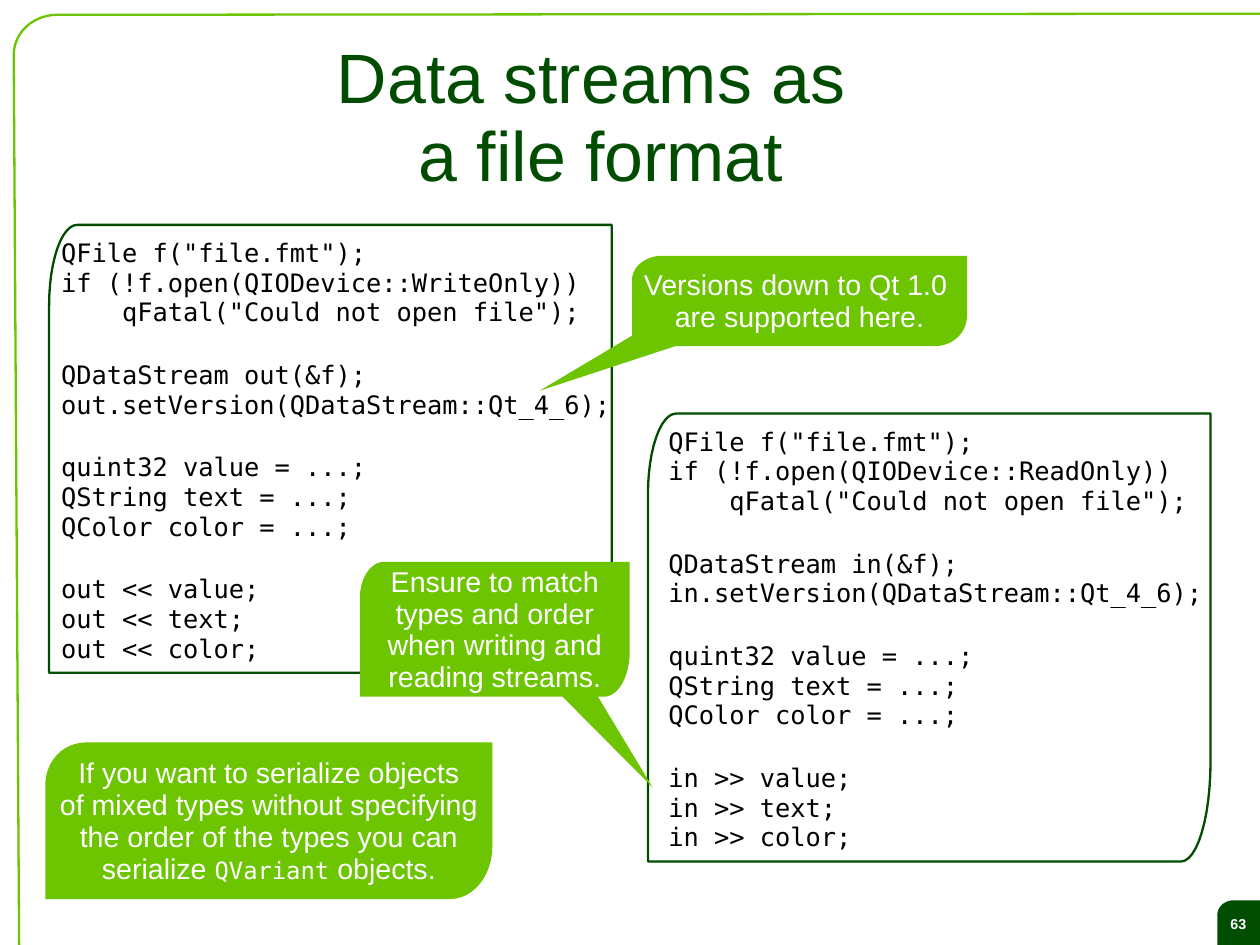
from dataclasses import dataclass
from math import cos, pi, sin

from pptx import Presentation
from pptx.dml.color import RGBColor
from pptx.enum.text import MSO_ANCHOR, MSO_AUTO_SIZE, PP_ALIGN
from pptx.util import Cm, Inches, Pt

MIDDLE, TOP = MSO_ANCHOR.MIDDLE, MSO_ANCHOR.TOP
CENTER, LEFT = PP_ALIGN.CENTER, PP_ALIGN.LEFT
NO_AUTOFIT = MSO_AUTO_SIZE.NONE

SLIDE_WIDTH, SLIDE_HEIGHT = Cm(28), Cm(21)
COLUMN, ROW = SLIDE_WIDTH / 100, SLIDE_HEIGHT / 100
ARC_STEPS = 12

Point = tuple[float, float]


@dataclass(frozen=True)
class Theme:
    dark: RGBColor = RGBColor(0x00, 0x4C, 0x00)
    lime: RGBColor = RGBColor(0x6D, 0xC4, 0x00)
    white: RGBColor = RGBColor(0xFF, 0xFF, 0xFF)
    black: RGBColor = RGBColor(0x00, 0x00, 0x00)
    sans: str = "Arial"
    mono: str = "DejaVu Sans Mono"
    title: Pt = Pt(44)
    callout: Pt = Pt(18)
    code: Pt = Pt(16)
    inline_code: Pt = Pt(15)
    page: Pt = Pt(9)
    rule: Pt = Pt(1.45)
    code_gap: Pt = Pt(21)


@dataclass(frozen=True)
class Box:
    column: float
    row: float
    columns: float
    rows: float

    def emu(self) -> tuple[int, int, int, int]:
        return (round(self.column * COLUMN), round(self.row * ROW),
                round(self.columns * COLUMN), round(self.rows * ROW))


@dataclass(frozen=True)
class Listing:
    frame: Box
    indent: float
    stream: str
    mode: str
    operator: str


@dataclass(frozen=True)
class Callout:
    box: Box
    lines: tuple[str, ...]
    pointer: tuple[Point, ...] = ()


THEME = Theme()
TITLE_BOX = Box(15.22, 3.99, 64.97, 16.69)
BADGE_BOX = Box(96.61, 95.28, 4.08, 5.08)
CALLOUT_CORNER = (0.09, 0.27)
FRAME_CORNER = (0.05, 0.18)
BADGE_CORNER = (0.31, 0.31)
INLINE_CODE = "QVariant"

LISTINGS = (
    Listing(Box(3.9, 23.8, 44.65, 47.4), 0.06, "out", "WriteOnly", "<<"),
    Listing(Box(51.43, 43.77, 44.65, 47.4), 0.73, "in", "ReadOnly", ">>"),
)
CALLOUTS = (
    Callout(Box(50.16, 27.07, 26.59, 9.55),
            ("Versions down to Qt 1.0 ", "are supported here."),
            ((51.81, 34.22), (42.83, 41.35), (53.63, 36.62))),
    Callout(Box(3.6, 78.57, 35.48, 16.57),
            ("If you want to serialize objects",
             "of mixed types without specifying",
             "the order of the types you can",
             "serialize QVariant objects.")),
    Callout(Box(28.56, 59.45, 21.42, 14.27),
            ("Ensure to match", "types and order",
             "when writing and", "reading streams."),
            ((44.63, 73.7), (51.79, 83.31), (46.44, 71.46))),
)


def arc(center: Point, radii: Point, start: float) -> list[Point]:
    angles = [start + pi / 2 * step / ARC_STEPS for step in range(ARC_STEPS + 1)]
    return [(center[0] + radii[0] * cos(a), center[1] + radii[1] * sin(a))
            for a in angles]


def draw_outline(slide, points, fill=None, line=None, close=True):
    corners = [(round(x * COLUMN), round(y * ROW)) for x, y in points]
    builder = slide.shapes.build_freeform(*corners[0])
    builder.add_line_segments(corners[1:], close=close)
    outline = builder.convert_to_shape()
    outline.shadow.inherit = False
    if fill is None:
        outline.fill.background()
    else:
        outline.fill.solid()
        outline.fill.fore_color.rgb = fill
    if line is None:
        outline.line.fill.background()
    else:
        outline.line.color.rgb = line
        outline.line.width = THEME.rule
    return outline


def draw_leaf(slide, box: Box, corner: Point, fill=None, line=None):
    right, bottom = box.column + box.columns, box.row + box.rows
    near = (corner[0] * box.columns, corner[1] * box.rows)
    far = (near[0] * 1.05, near[1] * 1.24)
    points = arc((box.column + near[0], box.row + near[1]), near, pi)
    points += [(right, box.row)]
    points += arc((right - far[0], bottom - far[1]), far, 0)
    points += [(box.column, bottom)]
    return draw_outline(slide, points, fill, line)


def set_frame(frame, anchor, insets, wrap: bool) -> None:
    frame.auto_size = NO_AUTOFIT
    frame.word_wrap = wrap
    frame.vertical_anchor = anchor
    (frame.margin_left, frame.margin_top,
     frame.margin_right, frame.margin_bottom) = map(Inches, insets)


def style(font, name: str, size: Pt, color: RGBColor, bold: bool = False) -> None:
    font.name, font.size, font.bold = name, size, bold
    font.color.rgb = color


def next_paragraph(frame, index: int, align, spacing: float):
    paragraph = frame.add_paragraph() if index else frame.paragraphs[0]
    paragraph.alignment = align
    paragraph.line_spacing = spacing
    return paragraph


def draw_title(slide) -> None:
    title = slide.shapes.title
    title.left, title.top, title.width, title.height = TITLE_BOX.emu()
    set_frame(title.text_frame, MIDDLE, (0, 0.04, 0, 0), True)
    paragraph = next_paragraph(title.text_frame, 0, CENTER, 0.93)
    paragraph.text = "Data streams as \va file format"
    style(paragraph.font, THEME.sans, THEME.title, THEME.dark)


def code_blocks(listing: Listing) -> list[list[str]]:
    stream = listing.stream
    variables = (("quint32", "value"), ("QString", "text"), ("QColor", "color"))
    return [
        ['QFile f("file.fmt");',
         f"if (!f.open(QIODevice::{listing.mode}))",
         '    qFatal("Could not open file");'],
        [f"QDataStream {stream}(&f);",
         f"{stream}.setVersion(QDataStream::Qt_4_6);"],
        [f"{kind} {name} = ...;" for kind, name in variables],
        [f"{stream} {listing.operator} {name};" for _, name in variables],
    ]


def draw_listing(slide, listing: Listing) -> None:
    frame = listing.frame
    code_box = Box(frame.column + listing.indent, frame.row + 0.75, 45.37, 45.83)
    code = slide.shapes.add_textbox(*code_box.emu()).text_frame
    set_frame(code, TOP, (0.1, 0.06, 0, 0.05), True)
    index = 0
    for block in code_blocks(listing):
        for position, line in enumerate(block):
            paragraph = next_paragraph(code, index, LEFT, 0.97)
            if index and position == 0:
                paragraph.space_before = THEME.code_gap
            paragraph.text = line
            style(paragraph.font, THEME.mono, THEME.code, THEME.black)
            index += 1
    draw_leaf(slide, frame, FRAME_CORNER, line=THEME.dark)


def draw_callout(slide, callout: Callout) -> None:
    if callout.pointer:
        draw_outline(slide, callout.pointer, THEME.lime)
    leaf = draw_leaf(slide, callout.box, CALLOUT_CORNER, THEME.lime)
    set_frame(leaf.text_frame, MIDDLE, (0.11, 0.08, 0.11, 0.06), False)
    for index, line in enumerate(callout.lines):
        paragraph = next_paragraph(leaf.text_frame, index, CENTER, 0.93)
        style(paragraph.font, THEME.sans, THEME.callout, THEME.white)
        before, code, after = line.partition(INLINE_CODE)
        for words in filter(None, (before, code, after)):
            run = paragraph.add_run()
            run.text = words
            if words == INLINE_CODE:
                style(run.font, THEME.mono, THEME.inline_code, THEME.white)


def draw_page_furniture(slide) -> None:
    border = [(1.52, 100), *arc((4.54, 5.8), (3.45, 4.23), pi), (100, 1.45)]
    draw_outline(slide, border, line=THEME.lime, close=False)
    badge = draw_leaf(slide, BADGE_BOX, BADGE_CORNER, THEME.dark)
    set_frame(badge.text_frame, MIDDLE, (0, 0.07, 0.08, 0.06), True)
    number = next_paragraph(badge.text_frame, 0, CENTER, 0.93)
    number.text = "63"
    style(number.font, THEME.sans, THEME.page, THEME.white, bold=True)


def main() -> None:
    deck = Presentation()
    deck.slide_width, deck.slide_height = SLIDE_WIDTH, SLIDE_HEIGHT
    slide = deck.slides.add_slide(deck.slide_layouts[5])
    draw_page_furniture(slide)
    draw_title(slide)
    for listing in LISTINGS:
        draw_listing(slide, listing)
    for callout in CALLOUTS:
        draw_callout(slide, callout)
    deck.save("out.pptx")


if __name__ == "__main__":
    main()
